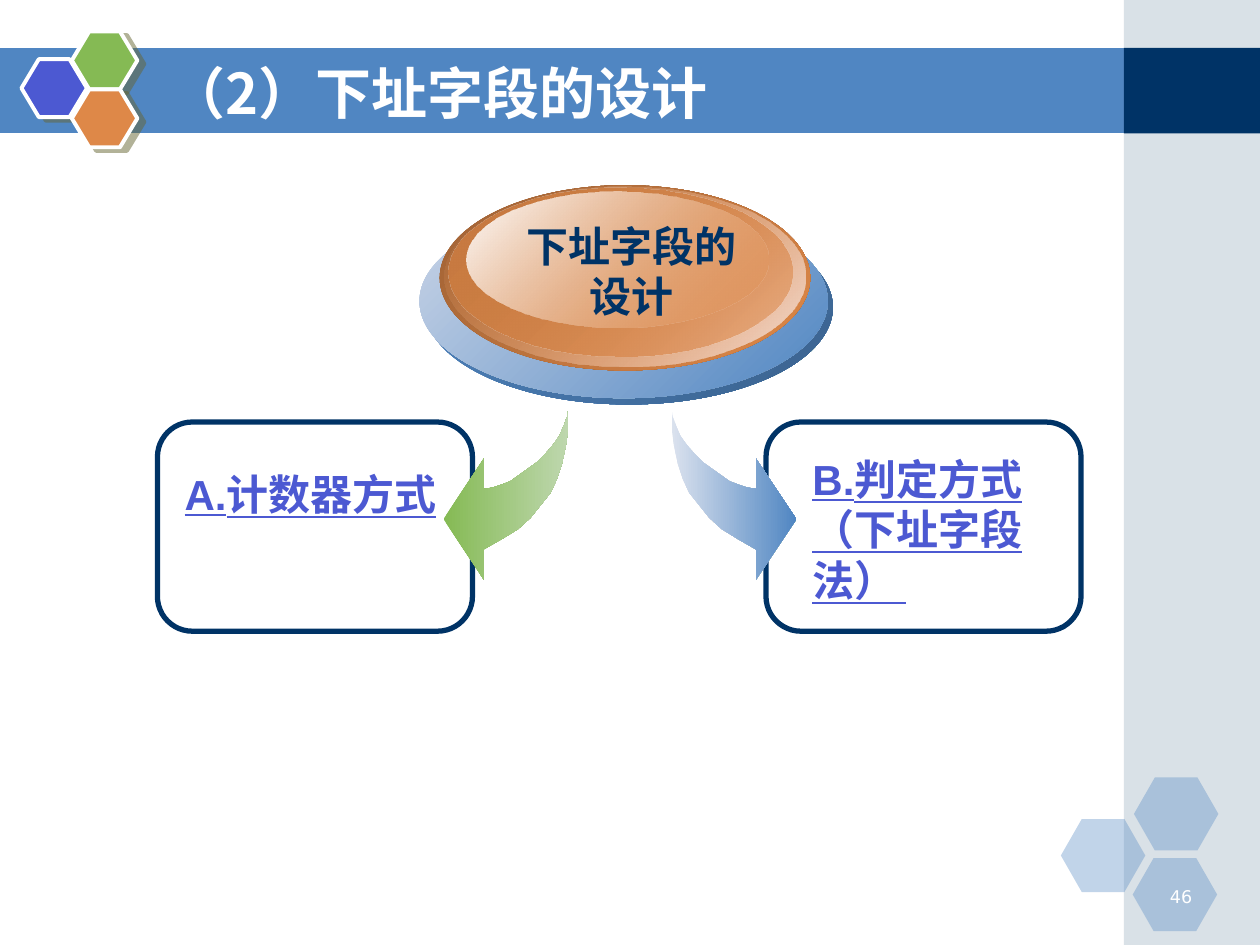
from lxml import etree
from pptx import Presentation
from pptx.dml.color import RGBColor
from pptx.enum.shapes import MSO_SHAPE
from pptx.enum.text import MSO_ANCHOR, PP_ALIGN
from pptx.oxml import parse_xml
from pptx.oxml.ns import nsdecls, qn
from pptx.util import Inches, Pt

RECT, HEXAGON = MSO_SHAPE.RECTANGLE, MSO_SHAPE.HEXAGON
ELLIPSE, ROUNDED = MSO_SHAPE.OVAL, MSO_SHAPE.ROUNDED_RECTANGLE
LEFT, CENTER, RIGHT = PP_ALIGN.LEFT, PP_ALIGN.CENTER, PP_ALIGN.RIGHT
TOP, MIDDLE = MSO_ANCHOR.TOP, MSO_ANCHOR.MIDDLE

BLUE, NAVY, VIOLET = "5086C2", "003366", "4C59D2"
GREEN, ORANGE, WHITE = "85BA54", "DE8848", "FFFFFF"
CJK_FONT = "Noto Sans CJK SC"

# Outline of the left-pointing curved arrow, relative to its box
ARROW_POINTS = [
    (0.99, 0), (0.99, 0.15), (0.97, 0.29), (0.94, 0.43), (0.9, 0.55),
    (0.85, 0.66), (0.77, 0.76), (0.69, 0.86), (0.59, 0.95), (0.46, 1.03),
    (0.32, 1.11), (0.32, 1.35), (0, 0.87), (0.32, 0.39), (0.32, 0.63),
    (0.39, 0.62), (0.45, 0.6), (0.53, 0.57), (0.6, 0.52), (0.67, 0.47),
    (0.74, 0.42), (0.81, 0.35), (0.87, 0.28), (0.92, 0.21), (0.95, 0.14),
    (0.98, 0.06),
]
ARROW_WIDTH = 0.99


def rgb(value):
    return RGBColor.from_string(value)


def color_xml(color, alpha=100):
    return (f'<a:srgbClr val="{color}"><a:alpha val="{alpha * 1000}"/>'
            '</a:srgbClr>')


def fill_solid(shape, color, alpha=100):
    shape.fill.solid()
    shape.fill.fore_color.rgb = rgb(color)
    if alpha < 100:
        color_node = shape.fill._xPr.find(qn("a:solidFill"))[0]
        etree.SubElement(color_node, qn("a:alpha")).set("val", str(alpha * 1000))


def fill_gradient(shape, start, end, angle):
    """Each stop is a (color, alpha) pair; the angle runs clockwise."""
    shape.fill.background()
    stops = "".join(f'<a:gs pos="{pos}">{color_xml(*stop)}</a:gs>'
                    for pos, stop in ((0, start), (100000, end)))
    gradient = parse_xml(
        f'<a:gradFill {nsdecls("a")} rotWithShape="1"><a:gsLst>{stops}</a:gsLst>'
        f'<a:lin ang="{angle * 60000}" scaled="0"/></a:gradFill>')
    properties = shape._element.spPr
    properties.replace(properties.find(qn("a:noFill")), gradient)


def add_preset(slide, kind, box):
    shape = slide.shapes.add_shape(kind, *map(Inches, box))
    shape.shadow.inherit = False
    shape.line.fill.background()
    return shape


def add_outline(slide, points):
    corners = [(Inches(x), Inches(y)) for x, y in points]
    builder = slide.shapes.build_freeform(*corners[0])
    builder.add_line_segments(corners[1:], close=True)
    shape = builder.convert_to_shape()
    shape.shadow.inherit = False
    shape.line.fill.background()
    return shape


def add_text(slide, box, runs, size, color, font="Arial", align=LEFT, anchor=TOP):
    """Each run is (text, bold, underline)."""
    frame = slide.shapes.add_textbox(*map(Inches, box)).text_frame
    frame.word_wrap = True
    frame.vertical_anchor = anchor
    paragraph = frame.paragraphs[0]
    paragraph.alignment = align
    for text, bold, underline in runs:
        run = paragraph.add_run()
        run.text = text
        run.font.size = Pt(size)
        run.font.name = font
        run.font.bold = bold
        run.font.underline = underline
        run.font.color.rgb = rgb(color)
        east_asian = etree.SubElement(run.font._element, qn("a:ea"))
        east_asian.set("typeface", CJK_FONT)


def add_banner(slide, left, top, width, height):
    # Title bar, side panel and the dark block where they meet
    panel_left = 8.92
    right, bottom = left + width, top + height
    bar = add_outline(slide, [(left, top), (right, top),
                              (right, bottom), (left, bottom)])
    fill_solid(bar, BLUE)
    fill_solid(add_preset(slide, RECT, (panel_left, 0, 1.08, 7.5)), "A0B5C4", 40)
    fill_solid(add_preset(slide, RECT, (panel_left, top, 1.08, height)), NAVY)


def add_corner_hexagons(slide, left, top):
    for dx, dy in ((0, 0.33), (0.58, 0), (0.57, 0.64)):
        hexagon = add_preset(slide, HEXAGON, (left + dx, top + dy, 0.67, 0.58))
        hexagon.adjustments[0] = 0.286
        fill_solid(hexagon, BLUE, 35)


def add_title_hexagons(slide, left, top):
    for dx, dy, color in ((0, 0.22, VIOLET), (0.4, 0, GREEN), (0.4, 0.46, ORANGE)):
        hexagon = add_preset(slide, HEXAGON, (left + dx, top + dy, 0.52, 0.46))
        hexagon.adjustments[0] = 0.3
        fill_solid(hexagon, color)
        hexagon.line.color.rgb = rgb(WHITE)
        hexagon.line.width = Pt(2.25)
        effects = hexagon._element.spPr.find(qn("a:effectLst"))
        effects.append(parse_xml(
            f'<a:outerShdw {nsdecls("a")} dist="{Pt(4.5)}" dir="{27 * 60000}" '
            f'algn="ctr" rotWithShape="0">{color_xml("666633", 50)}</a:outerShdw>'))


def add_method_frame(slide, left, top, width, height):
    frame = add_preset(slide, ROUNDED, (left, top, width, height))
    frame.fill.background()
    frame.line.color.rgb = rgb(NAVY)
    frame.line.width = Pt(3)


def add_method_label(slide, box, label, align):
    add_text(slide, box, [(label, True, True), (" ", False, True)],
             24, VIOLET, align=align)


def add_curved_arrow(slide, left, top, start, end, mirrored=False):
    points = [(left + (ARROW_WIDTH - x if mirrored else x), top + y)
              for x, y in ARROW_POINTS]
    fill_gradient(add_outline(slide, points), (start, 100), (end, 100), 0)


def add_topic_disc(slide, left, top):
    # Stacked ellipses from the blue base up to the glossy highlight
    layers = [
        ((0.04, 0.2, 3.24, 1.54), (BLUE, 100), ("3A628E", 100)),
        ((0, 0.15, 3.24, 1.54), ("CAD5E7", 100), (BLUE, 100)),
        ((0.16, 0, 2.94, 1.47), ("9F6134", 100), (ORANGE, 100)),
        ((0.2, 0.01, 2.86, 1.43), (ORANGE, 0), ("F4DFD6", 100)),
        ((0.23, 0.02, 2.73, 1.34), ("C97B41", 100), (ORANGE, 48)),
        ((0.37, 0.05, 2.4, 1.08), (WHITE, 100), (ORANGE, 38)),
    ]
    for (dx, dy, width, height), start, end in layers:
        disc = add_preset(slide, ELLIPSE, (left + dx, top + dy, width, height))
        fill_gradient(disc, start, end, 45)
    add_text(slide, (left + 0.59, top + 0.23, 2.18, 0.9),
             [("下址字段的设计", True, False)], 24, NAVY, align=CENTER)


def main():
    deck = Presentation()
    deck.slide_width, deck.slide_height = Inches(10), Inches(7.5)
    slide = deck.slides.add_slide(deck.slide_layouts[6])

    # Background decoration
    add_banner(slide, -0.01, 0.38, 8.96, 0.68)
    add_corner_hexagons(slide, 8.42, 6.17)
    add_title_hexagons(slide, 0.17, 0.25)

    # Page number and title
    add_text(slide, (9.06, 6.98, 0.5, 0.25), [("46", False, False)],
             10, WHITE, "DejaVu Sans", RIGHT)
    add_text(slide, (1.25, 0.42, 7.33, 0.62), [("（2）下址字段的设计", True, False)],
             32, WHITE, CJK_FONT, anchor=MIDDLE)

    # Topic and its two methods
    for left in (6.08, 1.25):
        add_method_frame(slide, left, 3.35, 2.5, 1.66)
    add_method_label(slide, (1.35, 3.67, 2.23, 0.5), "A.计数器方式", CENTER)
    add_curved_arrow(slide, 3.52, 3.25, GREEN, "BED7AE")
    add_curved_arrow(slide, 5.33, 3.25, "DBE2EE", BLUE, mirrored=True)
    add_topic_disc(slide, 3.33, 1.47)
    add_method_label(slide, (6.35, 3.55, 2.23, 0.9), "B.判定方式（下址字段法）", LEFT)

    deck.save("out.pptx")


if __name__ == "__main__":
    main()
